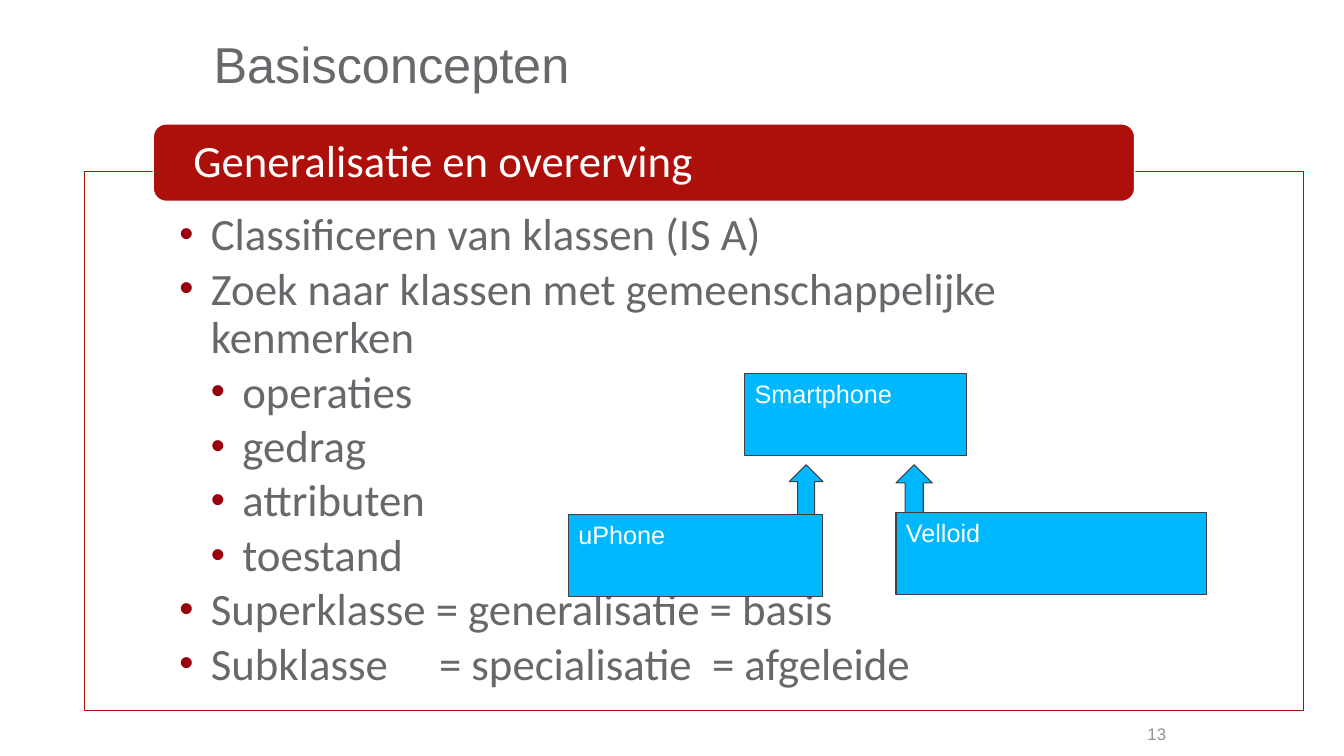
from lxml.etree import SubElement
from pptx import Presentation
from pptx.dml.color import RGBColor
from pptx.enum.shapes import MSO_SHAPE as SHAPE
from pptx.enum.text import MSO_ANCHOR as ANCHOR, PP_ALIGN as ALIGN
from pptx.oxml.ns import qn
from pptx.util import Pt

COLORS = {
    "white": "FFFFFF", "text": "68676C", "number": "929292", "red": "AD0F0A",
    "bullet": "97000C", "blue": "00B8FF", "outline": "404040",
}
HEADING, BODY = "Arial", "Calibri"
INDENT = 22.5
EQUALS_TABS = (185.5, 380.5)
BULLETS = [
    (0, "Classificeren van klassen (IS A)"),
    (0, "Zoek naar klassen met gemeenschappelijke kenmerken"),
    (1, "operaties"),
    (1, "gedrag"),
    (1, "attributen"),
    (1, "toestand"),
    (0, "Superklasse = generalisatie = basis"),
    (0, "Subklasse\t= specialisatie\t= afgeleide"),
]
ARROWS = [(563.8, 332, 24, 36), (640, 332, 26, 35.3)]
CLASSES = [
    ("Smartphone", (532, 267, 158.5, 58.5)),
    ("uPhone", (406, 367.5, 181.5, 58.5)),
    ("Velloid", (640, 366.3, 221.8, 58.5)),
]


def rgb(name):
    return RGBColor.from_string(COLORS[name])


class SlideBuilder:
    def __init__(self, prs):
        self.s = prs.slides.add_slide(prs.slide_layouts[6])

    def frame(self, sp, anchor=ANCHOR.TOP, insets=(7.2, 3.6, 7.2, 3.6)):
        """Set wrapping, anchor and insets (left, top, right, bottom)."""
        tf = sp.text_frame
        tf.word_wrap = True
        tf.vertical_anchor = anchor
        tf.margin_left, tf.margin_top, tf.margin_right, tf.margin_bottom = map(Pt, insets)
        return tf

    def run(self, p, text, size, font, color, align=ALIGN.LEFT):
        p.alignment = align
        r = p.add_run()
        r.text = text
        r.font.size, r.font.name = Pt(size), font
        r.font.color.rgb = rgb(color)

    def label(self, box, text, size, color, align=ALIGN.LEFT):
        sp = self.s.shapes.add_textbox(*map(Pt, box))
        p = self.frame(sp, ANCHOR.MIDDLE).paragraphs[0]
        self.run(p, text, size, HEADING, color, align)

    def shape(self, kind, box, fill, line, width):
        sp = self.s.shapes.add_shape(kind, *map(Pt, box))
        sp.shadow.inherit = False
        sp.fill.solid()
        sp.fill.fore_color.rgb = rgb(fill)
        sp.line.color.rgb = rgb(line)
        sp.line.width = Pt(width)
        return sp

    def bullet(self, p, level, text):
        p.level = level
        p.line_spacing, p.space_after = 0.9, Pt(4.3)
        pPr = p._p.get_or_add_pPr()
        pPr.set("marL", str(Pt(INDENT * (level + 1))))
        pPr.set("indent", str(-Pt(INDENT)))
        color = SubElement(pPr, qn("a:buClr"))
        SubElement(color, qn("a:srgbClr"), val=COLORS["bullet"])
        SubElement(pPr, qn("a:buSzPct"), val="90000")
        SubElement(pPr, qn("a:buFont"), typeface=HEADING)
        SubElement(pPr, qn("a:buChar"), char="•")
        if "\t" in text:
            tabs = SubElement(pPr, qn("a:tabLst"))
            for pos in EQUALS_TABS:
                SubElement(tabs, qn("a:tab"), pos=str(Pt(pos)), algn="l")
        self.run(p, text, 32, BODY, "text")

    def bullet_panel(self, box, items):
        sp = self.shape(SHAPE.RECTANGLE, box, "white", "red", 1)
        tf = self.frame(sp, insets=(67.6, 29, 70, 6.5))
        for i, (level, text) in enumerate(items):
            p = tf.add_paragraph() if i else tf.paragraphs[0]
            self.bullet(p, level, text)

    def banner(self, box, text):
        sp = self.shape(SHAPE.ROUNDED_RECTANGLE, box, "red", "white", 1)
        p = self.frame(sp, ANCHOR.MIDDLE, (26, 0, 26, 0)).paragraphs[0]
        p.line_spacing = 0.9
        self.run(p, text, 32, BODY, "white")

    def up_arrow(self, box):
        self.shape(SHAPE.UP_ARROW, box, "blue", "outline", 0.75)

    def class_box(self, name, box):
        sp = self.shape(SHAPE.RECTANGLE, box, "blue", "outline", 0.75)
        self.run(self.frame(sp).paragraphs[0], name, 18, HEADING, "white")


def main():
    prs = Presentation()
    prs.slide_width, prs.slide_height = Pt(960), Pt(540)
    b = SlideBuilder(prs)
    b.label((145.5, 0, 686, 90), "Basisconcepten", 36, "text")
    b.label((672, 510, 168, 28.8), "13", 12, "number", ALIGN.RIGHT)
    b.bullet_panel((60.5, 122.4, 870.5, 385.2), BULLETS)
    b.banner((109.5, 88.5, 701, 55.4), "Generalisatie en overerving")
    for box in ARROWS:
        b.up_arrow(box)
    for name, box in CLASSES:
        b.class_box(name, box)
    prs.save("out.pptx")


if __name__ == "__main__":
    main()
